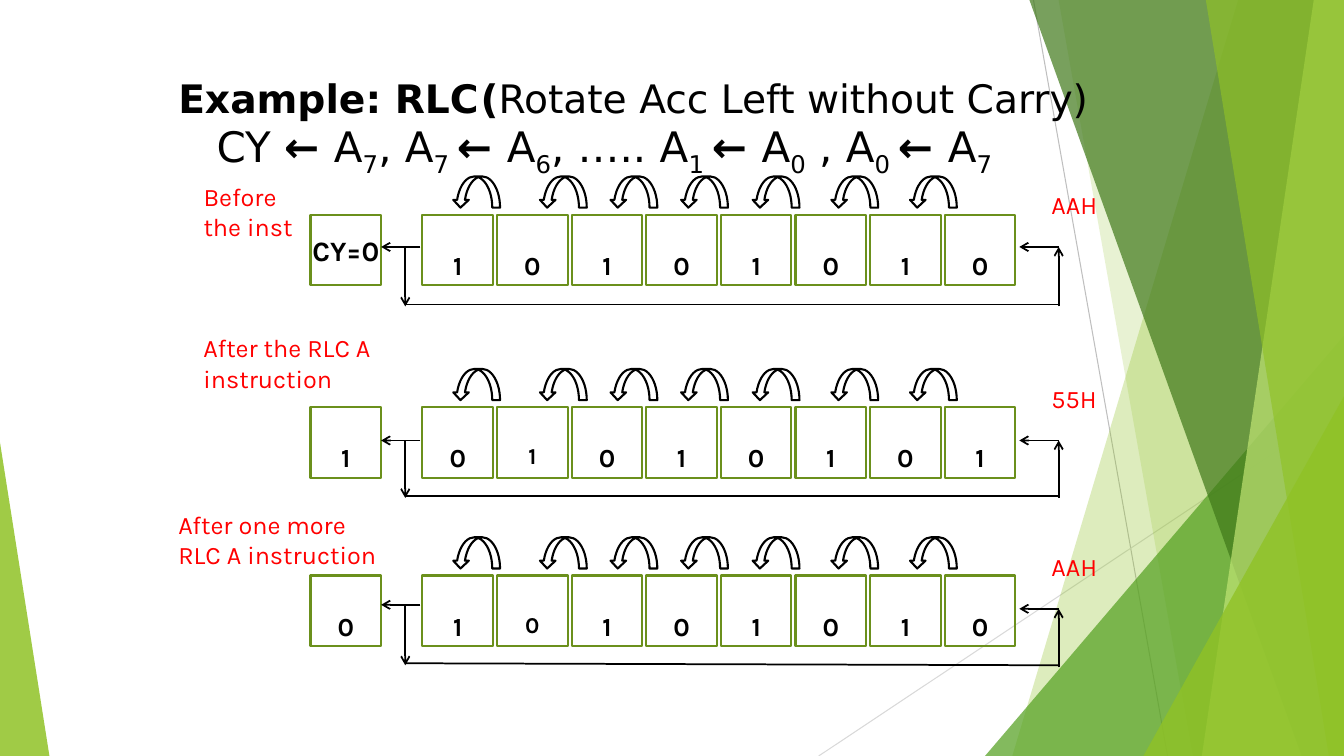
from pptx import Presentation
from pptx.dml.color import RGBColor
from pptx.enum.shapes import MSO_CONNECTOR, MSO_SHAPE
from pptx.enum.text import MSO_ANCHOR, PP_ALIGN
from pptx.oxml.ns import qn
from pptx.util import Inches, Pt
from lxml.etree import SubElement

BLACK, RED, BOX_GREEN, LIME = "000000", "FF0000", "6B901C", "90C226"
BIT_SIDE, BIT_PITCH, BITS_LEFT, CARRY_LEFT = 0.7, 0.74, 4.19, 3.08
SHIFT_LEFTS = [9.02, 8.24, 7.46, 6.75, 6.05, 5.35, 4.49]
LOOP_LEFT, LOOP_RIGHT = 4.02, 10.5

# Background facets: outline, colour, opacity in percent
FACETS = [
    ([(12.28, 0), (13.33, 0), (13.33, 7.5), (10.04, 7.5)], LIME, 30),
    ([(10.5, 0), (13.33, 0), (13.33, 7.5), (11.83, 7.5)], LIME, 20),
    ([(13.33, 3.33), (13.33, 7.5), (9.77, 7.5)], "54A021", 72),
    ([(10.21, 0), (13.33, 0), (13.33, 7.5), (12.91, 7.5)], "3F7819", 70),
    ([(13.03, 0), (13.33, 0), (13.33, 7.5), (11.92, 7.5)], "C0E474", 70),
    ([(11.96, 0), (13.33, 0), (13.33, 7.5), (13.18, 7.5)], LIME, 65),
    ([(13.33, 3.93), (13.33, 7.5), (11.34, 7.5)], LIME, 80),
    ([(0, 4.39), (0.49, 7.5), (0, 7.5)], LIME, 85),
]

# Register states: top, carry, bits, size of second bit, loop offsets
# (carry arrow, return arrow, left and right end of the bottom line)
STATES = [
    (2.13, "CY=0", "10101010", 32, (0.32, 0.32, 0.89, 0.89)),
    (4.04, "1", "01010101", 28, (0.33, 0.33, 0.88, 0.88)),
    (5.71, "0", "10101010", 28, (0.29, 0.33, 0.87, 0.89)),
]

# Captions: left, top, width, height, text
CAPTIONS = [
    (1.92, 1.75, 1.08, 0.71, "Before the inst"),
    (1.92, 3.25, 2.17, 0.71, "After the RLC A instruction"),
    (1.67, 5, 2.17, 0.71, "After one more RLC A instruction"),
    (10.33, 1.83, 0.83, 0.42, "AAH"),
    (10.33, 3.75, 0.83, 0.42, "55H"),
    (10.33, 5.42, 0.83, 0.42, "AAH"),
]

# "_" marks a subscript, "*" marks bold
TITLE = ["*Example: RLC\t(", "Rotate Acc Left without Carry)"]
FORMULA = ["CY ", "*← ", "A", "_7", ", A", "_7 ", "*← ", "A", "_6", ", ….. A", "_1 ",
           "*← ", "A", "_0", " , A", "_0 ", "*← ", "A", "_7"]


def color(hex_code):
    return RGBColor.from_string(hex_code)


def style_run(run, size, font, hex_code, bold=False, subscript=False):
    run.font.size = Pt(size)
    run.font.name = font
    run.font.bold = bold
    run.font.color.rgb = color(hex_code)
    if subscript:
        run.font._element.set("baseline", "-25000")


def add_line(slide, start, end, hex_code=BLACK, width=1.25, arrow=False):
    points = [Inches(value) for value in (*start, *end)]
    line = slide.shapes.add_connector(MSO_CONNECTOR.STRAIGHT, *points)
    line.line.color.rgb = color(hex_code)
    line.line.width = Pt(width)
    if arrow:
        SubElement(line.line._get_or_add_ln(), qn("a:tailEnd"), type="arrow")
    SubElement(line._element.spPr, qn("a:effectLst"))


def add_facet(slide, outline, hex_code, opacity):
    corners = [(Inches(x), Inches(y)) for x, y in outline]
    builder = slide.shapes.build_freeform(*corners[0])
    builder.add_line_segments(corners[1:], close=True)
    facet = builder.convert_to_shape()
    facet.shadow.inherit = False
    facet.fill.solid()
    facet.fill.fore_color.rgb = color(hex_code)
    facet.line.fill.background()
    fill_color = facet._element.spPr.find(qn("a:solidFill"))[0]
    SubElement(fill_color, qn("a:alpha"), val=str(opacity * 1000))


def add_outline(slide, preset, left, top, width, height, hex_code):
    shape = slide.shapes.add_shape(
        preset, Inches(left), Inches(top), Inches(width), Inches(height))
    shape.shadow.inherit = False
    shape.fill.background()
    shape.line.color.rgb = color(hex_code)
    shape.line.width = Pt(1.5)
    return shape


def add_bit(slide, left, top, value, size, subscript=True):
    bit = add_outline(slide, MSO_SHAPE.RECTANGLE, left, top, BIT_SIDE, BIT_SIDE, BOX_GREEN)
    frame = bit.text_frame
    frame.margin_left = frame.margin_right = frame.margin_top = frame.margin_bottom = 0
    frame.vertical_anchor = MSO_ANCHOR.MIDDLE
    frame.text = value
    frame.paragraphs[0].alignment = PP_ALIGN.CENTER
    style_run(frame.paragraphs[0].runs[0], size, "Karla", BLACK, True, subscript)


def add_shift_arrow(slide, left, top):
    arrow = add_outline(slide, MSO_SHAPE.CURVED_DOWN_ARROW, left, top, 0.47, 0.31, BLACK)
    arrow._element.spPr.xfrm.set("flipH", "1")


def add_text_box(slide, left, top, width, height):
    box = slide.shapes.add_textbox(Inches(left), Inches(top), Inches(width), Inches(height))
    box.text_frame.word_wrap = True
    return box.text_frame


def add_caption(slide, left, top, width, height, caption):
    frame = add_text_box(slide, left, top, width, height)
    frame.text = caption
    style_run(frame.paragraphs[0].runs[0], 18, "Karla", RED)


def fill_marked(paragraph, pieces, size):
    for piece in pieces:
        run = paragraph.add_run()
        run.text = piece.lstrip("*_")
        style_run(run, size, "DejaVu Sans", BLACK, piece[0] == "*", piece[0] == "_")


def add_heading(slide):
    frame = add_text_box(slide, 1.67, 0.45, 10, 1.3)
    title = frame.paragraphs[0]
    title.line_spacing = 1.5
    fill_marked(title, TITLE, 28)
    formula = frame.add_paragraph()
    formula._p.get_or_add_pPr().set("marL", str(Inches(0.38)))
    fill_marked(formula, FORMULA, 30)


def add_register(slide, top, carry, bits, second_size, loop_offsets):
    # Carry flag and accumulator bits
    is_label = len(carry) > 1
    add_bit(slide, CARRY_LEFT, top, carry, 20 if is_label else 32, not is_label)
    for index, value in enumerate(bits):
        size = second_size if index == 1 else 32
        add_bit(slide, BITS_LEFT + index * BIT_PITCH, top, value, size)
    for left in SHIFT_LEFTS:
        add_shift_arrow(slide, left, top - 0.38)
    # Rotation loop from the top bit to carry and back to the lowest bit
    carry_y, return_y, left_y, right_y = [top + offset for offset in loop_offsets]
    add_line(slide, (4.17, carry_y), (3.78, carry_y), arrow=True)
    add_line(slide, (LOOP_LEFT, carry_y), (LOOP_LEFT, left_y + 0.02), arrow=True)
    add_line(slide, (LOOP_LEFT, left_y), (LOOP_RIGHT, right_y))
    add_line(slide, (LOOP_RIGHT, right_y + 0.02), (LOOP_RIGHT, return_y), arrow=True)
    add_line(slide, (LOOP_RIGHT, return_y), (10.11, return_y), arrow=True)


def main():
    deck = Presentation()
    deck.slide_width, deck.slide_height = Inches(13.33), Inches(7.5)
    slide = deck.slides.add_slide(deck.slide_layouts[6])
    # Background
    add_line(slide, (10.25, 0), (11.58, 7.5), "BFBFBF", 0.75)
    add_line(slide, (13.33, 4.03), (8.12, 7.5), "D9D9D9", 0.75)
    for facet in FACETS:
        add_facet(slide, *facet)
    # Content
    add_heading(slide)
    for state in STATES:
        add_register(slide, *state)
    for caption in CAPTIONS:
        add_caption(slide, *caption)
    deck.save("out.pptx")


if __name__ == "__main__":
    main()
